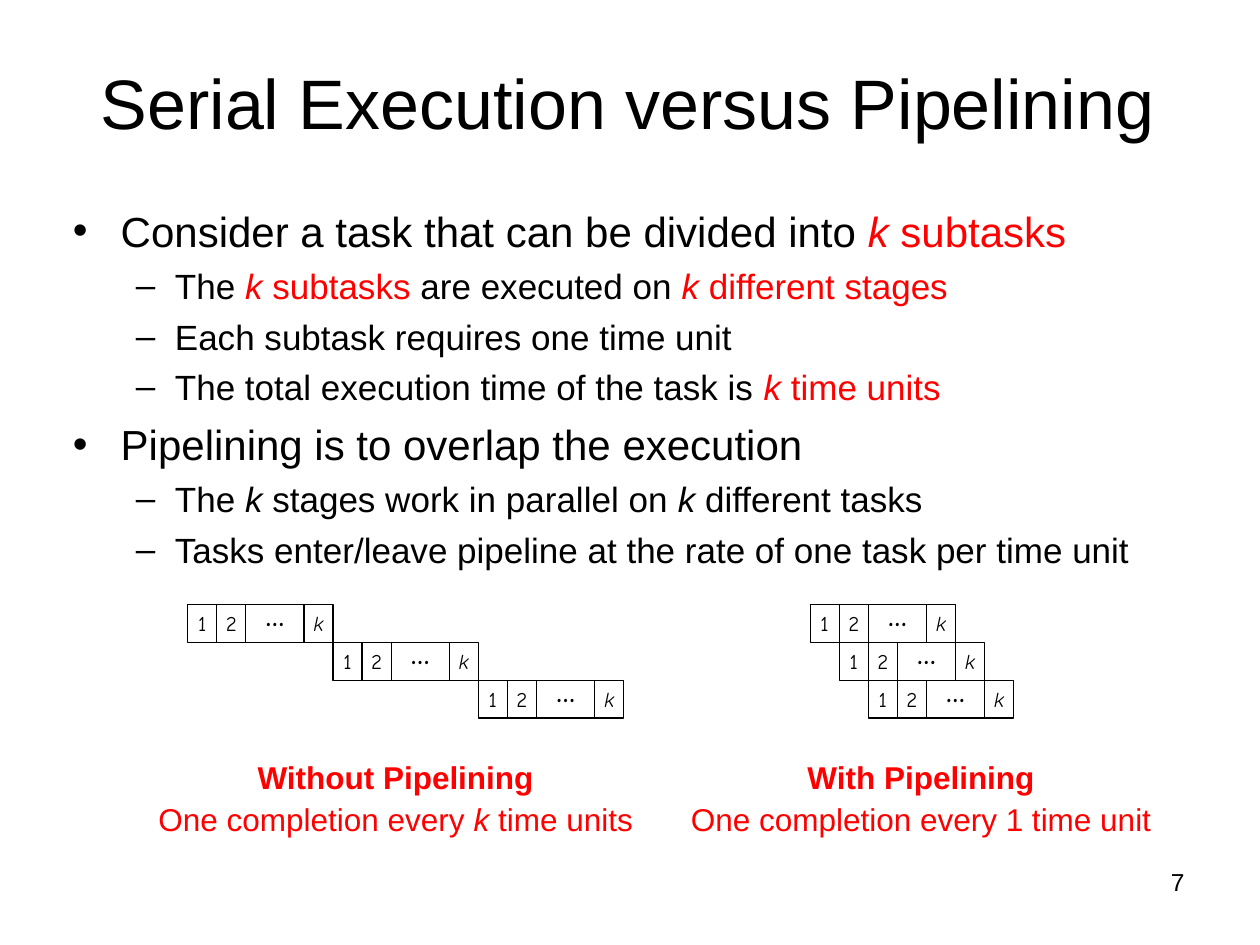
from lxml.etree import SubElement
from pptx import Presentation
from pptx.dml.color import RGBColor
from pptx.enum.shapes import MSO_CONNECTOR, MSO_SHAPE
from pptx.enum.text import MSO_ANCHOR, PP_ALIGN
from pptx.oxml.ns import qn
from pptx.util import Inches, Pt

BLACK, RED, WHITE = "000000", "FF0000", "FFFFFF"
K = {"italic": True}
RED_TEXT = {"color": RED}
RED_K = {"color": RED, "italic": True}
BOLD = {"bold": True}

TITLE = "Serial Execution versus Pipelining"
POINTS = [
    (0, ["Consider a task that can be divided into ", ("k", RED_K), (" subtasks", RED_TEXT)]),
    (1, ["The ", ("k", RED_K), (" subtasks", RED_TEXT), " are executed on ",
         ("k", RED_K), (" different stages", RED_TEXT)]),
    (1, ["Each subtask requires one time unit"]),
    (1, ["The total execution time of the task is ", ("k ", RED_K), ("time units", RED_TEXT)]),
    (0, ["Pipelining is to overlap the execution"]),
    (1, ["The ", ("k", K), " stages work in parallel on ", ("k", K), " different tasks"]),
    (1, ["Tasks enter/leave pipeline at the rate of one task per time unit"]),
]
LEVELS = [
    {"size": 24, "bullet": "•", "margin": 0.38, "hanging": 0.38, "before": 6},
    {"size": 20, "bullet": "–", "margin": 0.81, "hanging": 0.31, "before": 5},
]
SCHEDULES = [
    {"left": 1.49, "stagger": 5, "caption_left": 1.13, "caption_width": 4.02,
     "caption": [[("Without Pipelining", BOLD)],
                 ["One completion every ", ("k ", K), "time units"]]},
    {"left": 6.43, "stagger": 1, "caption_left": 5.37, "caption_width": 3.88,
     "caption": [[("With Pipelining", BOLD)],
                 ["One completion every 1 time unit"]]},
]
STAGES = [(0, "1", {}), (1, "2", {}), (4, "k", K)]
DIVIDERS = (1, 2, 4)
TASKS = 3
TASK_UNITS = 5
UNIT = 3.46 / (TASKS * TASK_UNITS)
ROW_TOP, ROW_HEIGHT = 4.8, 0.3
PAGE = "7"


def rgb(value):
    return RGBColor.from_string(value)


def set_bullet(paragraph, level, bullet, margin, hanging):
    paragraph.level = level
    properties = paragraph._p.get_or_add_pPr()
    properties.set("marL", str(Inches(margin)))
    properties.set("indent", str(-Inches(hanging)))
    SubElement(properties, qn("a:buFont"), typeface="Arial")
    SubElement(properties, qn("a:buChar"), char=bullet)


def write(paragraph, runs, size=18, font="Arial", color=BLACK, align=PP_ALIGN.LEFT, before=0):
    paragraph.alignment = align
    paragraph.space_before = Pt(before)
    for item in runs:
        words, style = (item, {}) if isinstance(item, str) else item
        run = paragraph.add_run()
        run.text = words
        run.font.name = font
        run.font.size = Pt(size)
        run.font.bold = style.get("bold", False)
        run.font.italic = style.get("italic", False)
        run.font.color.rgb = rgb(style.get("color", color))


def add_frame(shapes, left, top, width, height, side=0.1, edge=0.05):
    frame = shapes.add_textbox(*map(Inches, (left, top, width, height))).text_frame
    frame.word_wrap = True
    frame.margin_left = frame.margin_right = Inches(side)
    frame.margin_top = frame.margin_bottom = Inches(edge)
    return frame


def next_paragraph(frame, index):
    return frame.add_paragraph() if index else frame.paragraphs[0]


def add_task(shapes, left, top):
    bar = shapes.add_shape(MSO_SHAPE.RECTANGLE, *map(
        Inches, (left, top, TASK_UNITS * UNIT, ROW_HEIGHT)))
    bar.shadow.inherit = False
    bar.fill.solid()
    bar.fill.fore_color.rgb = rgb(WHITE)
    bar.line.color.rgb = rgb(BLACK)
    bar.line.width = Pt(0.75)
    for position in DIVIDERS:
        x = left + position * UNIT
        divider = shapes.add_connector(MSO_CONNECTOR.STRAIGHT, *map(
            Inches, (x, top, x, top + ROW_HEIGHT)))
        divider.line.color.rgb = rgb(BLACK)
        divider.line.width = Pt(0.75)
        SubElement(divider._element.spPr, qn("a:effectLst"))
    for position, label, style in STAGES:
        stage = add_frame(shapes, left + position * UNIT, top, UNIT, ROW_HEIGHT, side=0)
        write(stage.paragraphs[0], [(label, style)], size=12, font="Comic Neue",
              align=PP_ALIGN.CENTER)
    ellipsis = add_frame(shapes, left + 3 * UNIT - 0.14, top - 0.05, 0.28, 0.27, side=0, edge=0)
    write(ellipsis.paragraphs[0], [("…", BOLD)], size=16, font="Comic Neue",
          align=PP_ALIGN.CENTER)


def main():
    deck = Presentation()
    deck.slide_width, deck.slide_height = Inches(10), Inches(7.5)
    slide = deck.slides.add_slide(deck.slide_layouts[5])

    title = slide.shapes.title
    title.left, title.top, title.width, title.height = map(Inches, (0.48, 0.18, 9, 1.25))
    title.text_frame.vertical_anchor = MSO_ANCHOR.MIDDLE
    write(title.text_frame.paragraphs[0], [TITLE], size=40, align=PP_ALIGN.CENTER)

    body = add_frame(slide.shapes, 0.48, 1.58, 8.95, 5.57)
    for index, (level, runs) in enumerate(POINTS):
        look = LEVELS[level]
        point = next_paragraph(body, index)
        set_bullet(point, level, look["bullet"], look["margin"], look["hanging"])
        write(point, runs, size=look["size"], before=look["before"] if index else 0)

    for schedule in SCHEDULES:
        diagram = slide.shapes.add_group_shape()
        for row in range(TASKS):
            add_task(diagram.shapes, schedule["left"] + row * schedule["stagger"] * UNIT,
                     ROW_TOP + row * ROW_HEIGHT)

    for schedule in SCHEDULES:
        caption = add_frame(slide.shapes, schedule["caption_left"], 5.97,
                            schedule["caption_width"], 0.73)
        for index, runs in enumerate(schedule["caption"]):
            write(next_paragraph(caption, index), runs, color=RED,
                  align=PP_ALIGN.CENTER, before=2 * index)

    page = add_frame(slide.shapes, 7.17, 6.83, 2.33, 0.52)
    write(page.paragraphs[0], [PAGE], size=14, align=PP_ALIGN.RIGHT)

    deck.save("out.pptx")


if __name__ == "__main__":
    main()
